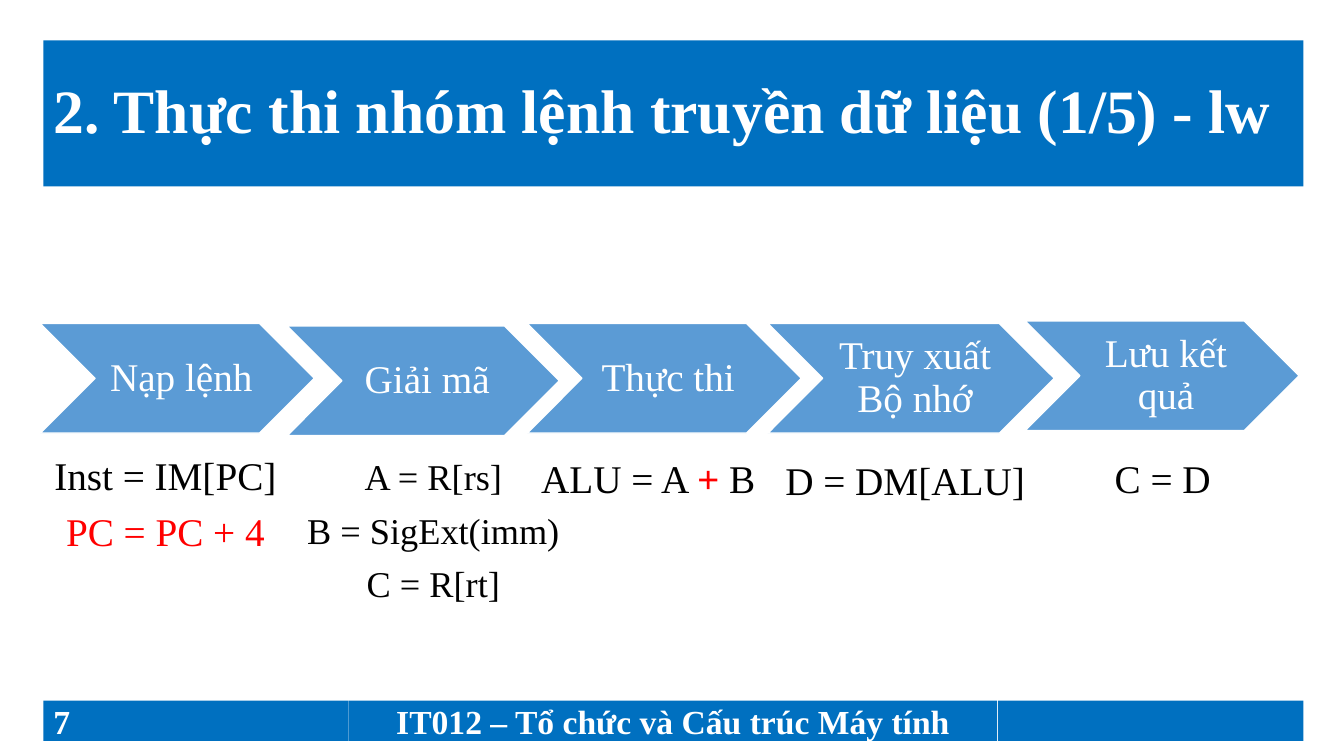
import dataclasses

import pptx
import pptx.dml.color
import pptx.enum.shapes
import pptx.enum.text
import pptx.util

Pt = pptx.util.Pt
RGB = pptx.dml.color.RGBColor.from_string
SHAPE = pptx.enum.shapes.MSO_SHAPE
ALIGN = pptx.enum.text.PP_ALIGN
ANCHOR = pptx.enum.text.MSO_ANCHOR


@dataclasses.dataclass(frozen=True)
class Theme:
    """Colours and type sizes of the slide."""
    font: str = "Times New Roman"
    bar: str = "0070C0"
    stage: str = "5B9BD5"
    light: str = "FFFFFF"
    dark: str = "000000"
    accent: str = "FF0000"
    title: float = 44
    footer: float = 24
    body: float = 28
    small: float = 25.9


THEME = Theme()


def set_font(p, size, color, bold=False):
    """Set the font of a whole paragraph."""
    p.font.name = THEME.font
    p.font.size = Pt(size)
    p.font.color.rgb = RGB(color)
    p.font.bold = bold


def add_filled(s, kind, box, fill, text, size, align, bold=False):
    """Add a filled shape with one vertically centred paragraph."""
    sp = s.shapes.add_shape(kind, *map(Pt, box))
    sp.shadow.inherit = False
    sp.fill.solid()
    sp.fill.fore_color.rgb = RGB(fill)
    sp.line.fill.background()
    tf = sp.text_frame
    tf.word_wrap = True
    tf.vertical_anchor = ANCHOR.MIDDLE
    p = tf.paragraphs[0]
    p.text = text
    p.alignment = align
    set_font(p, size, THEME.light, bold)
    return sp


def add_title(s, box, text):
    """Add the title bar."""
    sp = add_filled(s, SHAPE.RECTANGLE, box, THEME.bar, text, THEME.title, ALIGN.LEFT, True)
    sp.text_frame.paragraphs[0].line_spacing = 0.9


def add_footer(s, box, number, course):
    """Add the footer: page number, course name and an empty end cell."""
    x, y, w, h = box
    side, gap = 218.16, 0.7
    middle = w - 2 * side - gap
    cells = [
        (x, side, number, ALIGN.LEFT),
        (x + side, middle, course, ALIGN.CENTER),
        (x + w - side, side, "", ALIGN.LEFT),
    ]
    for left, width, text, align in cells:
        add_filled(s, SHAPE.RECTANGLE, (left, y, width, h), THEME.bar,
                   text, THEME.footer, align, True)


def add_stage(s, box, name):
    """Add one pipeline stage as a chevron."""
    sp = add_filled(s, SHAPE.CHEVRON, box, THEME.stage, name, THEME.body, ALIGN.CENTER)
    sp.line.color.rgb = RGB(THEME.light)
    sp.line.width = Pt(1)
    tf = sp.text_frame
    tf.margin_left = Pt(8.4)
    tf.margin_right = tf.margin_top = tf.margin_bottom = Pt(2.8)
    tf.paragraphs[0].line_spacing = 0.9


def add_operations(s, box, lines, size):
    """Add the register transfers of a stage, each line a list of (text, colour, bold)."""
    tf = s.shapes.add_textbox(*map(Pt, box)).text_frame
    tf.word_wrap = True
    for i, runs in enumerate(lines):
        p = tf.paragraphs[0] if i == 0 else tf.add_paragraph()
        p.alignment = ALIGN.CENTER
        p.line_spacing = 0.9
        p.space_before = Pt(10)
        set_font(p, size, runs[0][1])
        for text, color, bold in runs:
            r = p.add_run()
            r.text = text
            if len(runs) > 1:
                r.font.color.rgb = RGB(color)
                r.font.bold = bold


def add_pipeline(s, box):
    """Add the five stages and the operations below them."""
    x, y, _, h = box
    dark, red = THEME.dark, THEME.accent
    stages = [
        ("Nạp lệnh", 0, 0, 195.8, 2.2, 91.4, 174.2, THEME.body,
         [[("Inst = IM[PC]", dark, False)], [("PC = PC + 4", red, False)]]),
        ("Giải mã", 176.4, 1.8, 194.4, 176.4, 93.6, 208.8, THEME.small,
         [[(text, dark, False)] for text in ("A = R[rs]", "B = SigExt(imm)", "C = R[rt]")]),
        ("Thực thi", 347.8, 0, 195.8, 329.8, 93.6, 208.8, THEME.body,
         [[("ALU = A ", dark, False), ("+", red, True), (" B", dark, False)]]),
        ("Truy xuất Bộ nhớ", 519.8, 0, 204.5, 519.8, 95, 195.8, THEME.body,
         [[("D = DM[ALU]", dark, False)]]),
        ("Lưu kết quả", 703.4, -1.8, 195.8, 715.7, 93.6, 172.1, THEME.body,
         [[("C = D", dark, False)]]),
    ]
    for name, dx, dy, w, text_dx, text_dy, text_w, size, lines in stages:
        add_stage(s, (x + dx, y + dy, w, h), name)
        add_operations(s, (x + text_dx, y + text_dy, text_w, 131), lines, size)


def main():
    """Build and save the slide."""
    prs = pptx.Presentation()
    prs.slide_width, prs.slide_height = Pt(960), Pt(540)
    s = prs.slides.add_slide(prs.slide_layouts[6])
    add_title(s, (31, 28.8, 900, 104.4), "2. Thực thi nhóm lệnh truyền dữ liệu (1/5) - lw")
    add_pipeline(s, (28.8, 231.1, 899.2, 78.2))
    add_footer(s, (31, 500.4, 900, 28.8), "7", "IT012 – Tổ chức và Cấu trúc Máy tính")
    prs.save("out.pptx")


if __name__ == "__main__":
    main()
